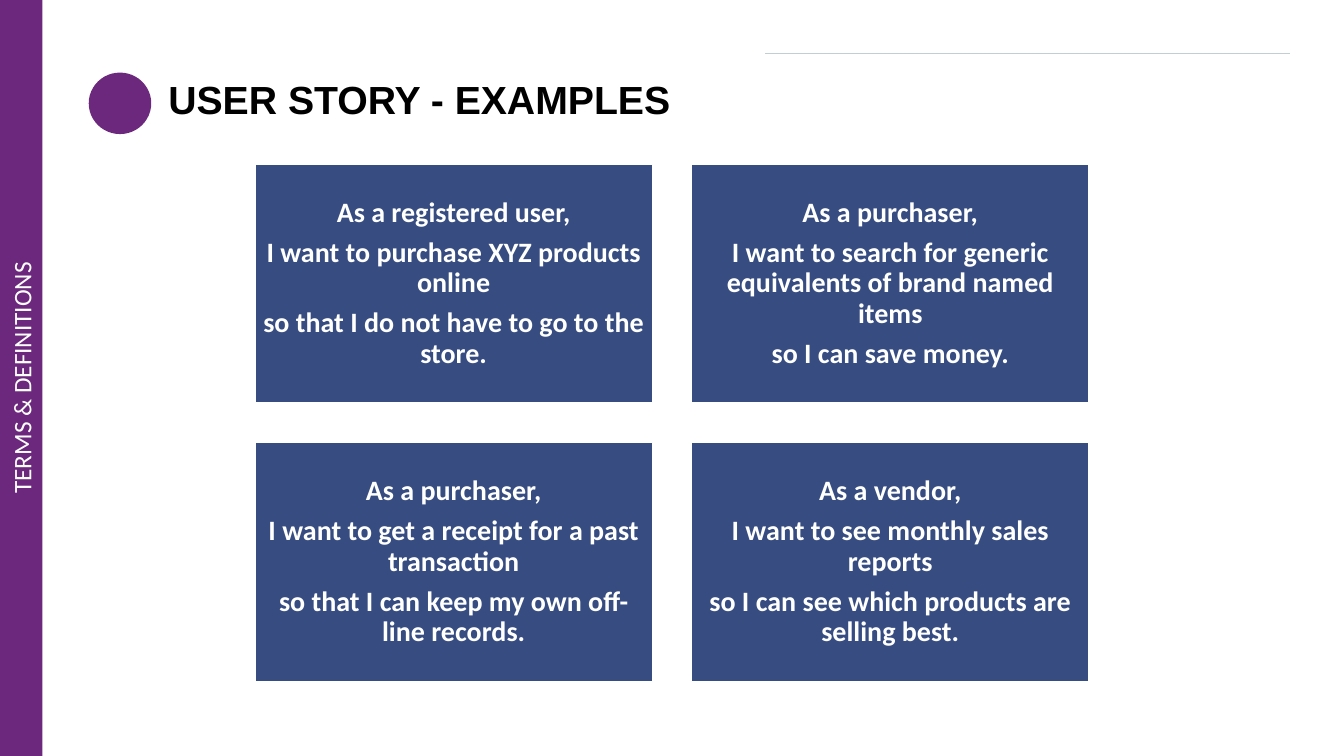
from lxml.etree import SubElement
from pptx import Presentation
from pptx.dml.color import RGBColor
from pptx.enum.shapes import MSO_CONNECTOR, MSO_SHAPE
from pptx.enum.text import MSO_ANCHOR, PP_ALIGN
from pptx.oxml.ns import qn
from pptx.util import Pt

PURPLE = RGBColor(0x6C, 0x28, 0x7C)
NAVY = RGBColor(0x37, 0x4D, 0x81)
GREY = RGBColor(0xC1, 0xCF, 0xD3)
WHITE = RGBColor(0xFF, 0xFF, 0xFF)
BLACK = RGBColor(0x00, 0x00, 0x00)

STORIES = [
    ["As a registered user,",
     "I want to purchase XYZ products online",
     "so that I do not have to go to the store."],
    ["As a purchaser,",
     "I want to search for generic equivalents of brand named items",
     "so I can save money."],
    ["As a purchaser,",
     "I want to get a receipt for a past transaction",
     "so that I can keep my own off-line records."],
    ["As a vendor,",
     "I want to see monthly sales reports",
     "so I can see which products are selling best."],
]


class Deck:
    SCALE = 9144
    STYLES = {
        "title": {"name": "Arial", "size": Pt(28), "bold": True, "color": BLACK},
        "side": {"name": "Calibri", "size": Pt(18), "bold": False, "color": WHITE},
        "story": {"name": "Calibri", "size": Pt(20), "bold": True, "color": WHITE},
    }

    def __init__(self, width, height):
        self.prs = Presentation()
        self.prs.slide_width, self.prs.slide_height = self.emu(width, height)
        self.s = self.prs.slides.add_slide(self.prs.slide_layouts[6])

    def emu(self, *lengths):
        return [px * self.SCALE for px in lengths]

    def line(self, x1, y1, x2, y2, color, width):
        c = self.s.shapes.add_connector(MSO_CONNECTOR.STRAIGHT, *self.emu(x1, y1, x2, y2))
        c.line.color.rgb = color
        c.line.width = Pt(width)
        SubElement(c._element.spPr, qn("a:effectLst"))

    def shape(self, kind, box, fill, outline=None):
        sp = self.s.shapes.add_shape(kind, *self.emu(*box))
        sp.shadow.inherit = False
        sp.fill.solid()
        sp.fill.fore_color.rgb = fill
        if outline:
            sp.line.color.rgb = outline
            sp.line.width = Pt(1)
        else:
            sp.line.fill.background()
        return sp

    def textbox(self, box):
        return self.s.shapes.add_textbox(*self.emu(*box))

    def text(self, sp, lines, style, align=PP_ALIGN.CENTER, spacing=0.9, after=0,
             margins=(10, 5, 10, 5), vert=None):
        tf = sp.text_frame
        frame = dict(zip(("margin_left", "margin_top", "margin_right", "margin_bottom"),
                         self.emu(*margins)))
        frame.update(word_wrap=True, vertical_anchor=MSO_ANCHOR.MIDDLE)
        for key, value in frame.items():
            setattr(tf, key, value)
        if vert:
            tf._txBody.bodyPr.set("vert", vert)
        for i, line in enumerate(lines):
            p = tf.add_paragraph() if i else tf.paragraphs[0]
            for key, value in {"alignment": align, "line_spacing": spacing,
                               "space_after": Pt(after)}.items():
                setattr(p, key, value)
            r = p.add_run()
            r.text = line
            for key, value in self.STYLES[style].items():
                if key == "color":
                    r.font.color.rgb = value
                else:
                    setattr(r.font, key, value)


def main():
    deck = Deck(1333, 750)
    deck.line(759, 53, 1279, 53, GREY, 0.5)

    side = deck.shape(MSO_SHAPE.RECTANGLE, (0, 0, 42, 750), PURPLE)
    deck.text(side, ["TERMS & DEFINITIONS"], "side", spacing=1.0, vert="vert270")

    title = deck.textbox((92, 61, 1150, 80))
    deck.text(title, ["USER STORY - EXAMPLES"], "title", PP_ALIGN.LEFT,
              margins=(75, 5, 10, 5))

    for i, story in enumerate(STORIES):
        row, col = divmod(i, 2)
        box = (253 + col * 433, 163 + row * 276, 394, 237)
        card = deck.shape(MSO_SHAPE.RECTANGLE, box, NAVY, WHITE)
        deck.text(card, story, "story", after=7, margins=(8, 8, 8, 8))

    deck.shape(MSO_SHAPE.OVAL, (88, 72, 62, 61), PURPLE)
    deck.prs.save("out.pptx")


if __name__ == "__main__":
    main()
